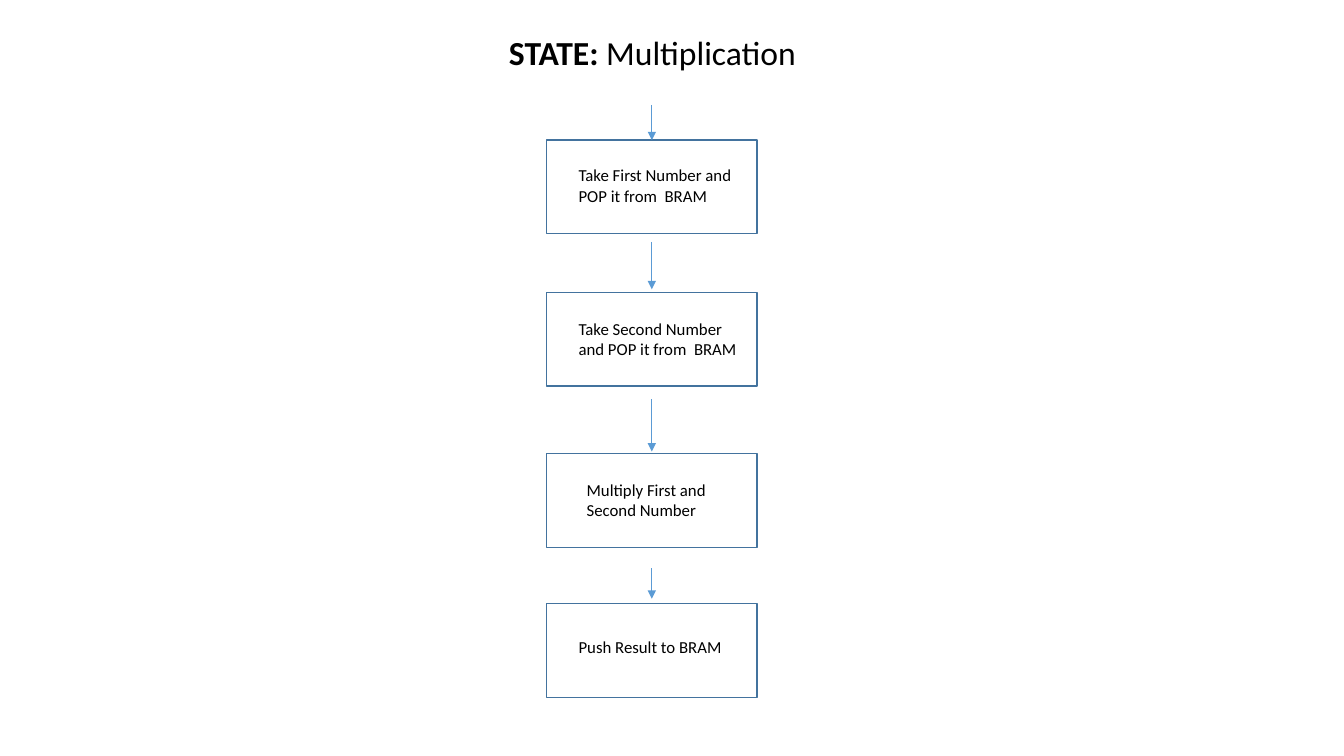
from dataclasses import dataclass

from lxml import etree
from pptx import Presentation
from pptx.dml.color import RGBColor
from pptx.enum.shapes import MSO_CONNECTOR, MSO_SHAPE
from pptx.enum.text import MSO_AUTO_SIZE
from pptx.oxml.ns import qn
from pptx.util import Inches, Pt

RECTANGLE = MSO_SHAPE.RECTANGLE
STRAIGHT = MSO_CONNECTOR.STRAIGHT
GROW_TO_TEXT = MSO_AUTO_SIZE.SHAPE_TO_FIT_TEXT
TOP_SIDE = 0


@dataclass(frozen=True)
class Theme:
    font: str = "Calibri"
    text: RGBColor = RGBColor(0x00, 0x00, 0x00)
    border: RGBColor = RGBColor(0x43, 0x73, 0x9E)
    arrow: RGBColor = RGBColor(0x5B, 0x9B, 0xD5)
    title_size: Pt = Pt(24)
    step_size: Pt = Pt(12)
    border_width: Pt = Pt(1)
    arrow_width: Pt = Pt(0.5)


theme = Theme()

STEP_LEFT, STEP_WIDTH, STEP_HEIGHT = 5.42, 2.09, 0.93
CENTER = STEP_LEFT + STEP_WIDTH / 2

# step top, label (left, top, width, height), label, arrow (start, end)
STEPS = [
    (1.39, (5.64, 1.59, 1.72, 0.5), "Take First Number and POP it from  BRAM", (1.04, 1.39)),
    (2.9, (5.64, 3.11, 1.87, 0.5), "Take Second Number and POP it from  BRAM", (2.4, 2.87)),
    (4.5, (5.72, 4.71, 1.56, 0.5), "Multiply First and Second Number", (3.96, 4.48)),
    (5.99, (5.64, 6.27, 1.64, 0.3), "Push Result to BRAM", (5.64, 5.94)),
]

prs = Presentation()
prs.slide_width, prs.slide_height = Inches(13.33), Inches(7.5)
slide = prs.slides.add_slide(prs.slide_layouts[6])


def add_label(box, runs, size):
    """Add a wrapping text box; runs are (text, bold) pairs."""
    label = slide.shapes.add_textbox(*(Inches(length) for length in box))
    frame = label.text_frame
    frame.word_wrap = True
    frame.auto_size = GROW_TO_TEXT
    for text, bold in runs:
        run = frame.paragraphs[0].add_run()
        run.text = text
        run.font.name = theme.font
        run.font.size = size
        run.font.bold = bold
        run.font.color.rgb = theme.text


add_label((4.95, 0.27, 3.1, 0.5), [("STATE: ", True), ("Multiplication", False)], theme.title_size)

for step_top, label_box, step_text, (arrow_start, arrow_end) in STEPS:
    step = slide.shapes.add_shape(
        RECTANGLE, Inches(STEP_LEFT), Inches(step_top), Inches(STEP_WIDTH), Inches(STEP_HEIGHT))
    step.shadow.inherit = False
    step.fill.background()
    step.line.color.rgb = theme.border
    step.line.width = theme.border_width

    add_label(label_box, [(step_text, False)], theme.step_size)

    arrow = slide.shapes.add_connector(
        STRAIGHT, Inches(CENTER), Inches(arrow_start), Inches(CENTER), Inches(arrow_end))
    arrow.line.color.rgb = theme.arrow
    arrow.line.width = theme.arrow_width
    if arrow_end == step_top:
        arrow.end_connect(step, TOP_SIDE)
    arrow_properties = arrow.element.spPr
    etree.SubElement(arrow_properties.find(qn("a:ln")), qn("a:tailEnd"), type="triangle")
    etree.SubElement(arrow_properties, qn("a:effectLst"))

prs.save("out.pptx")
